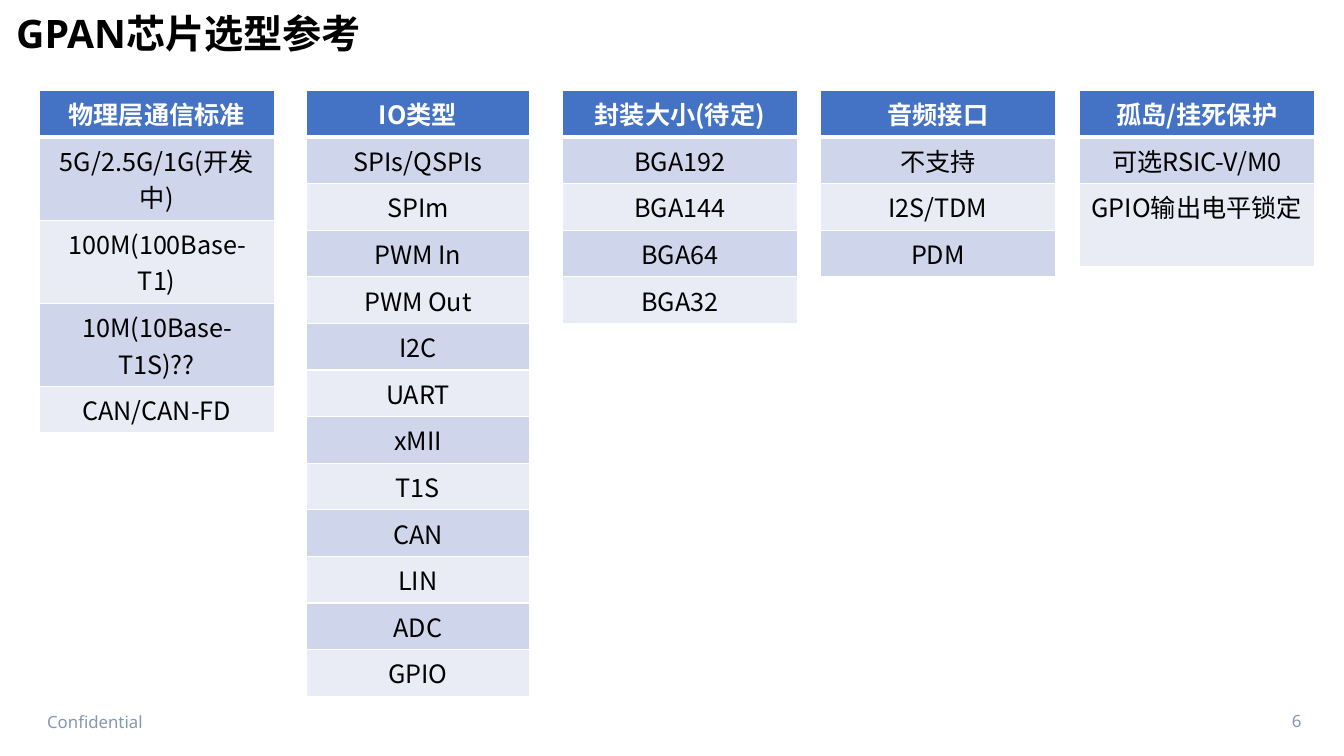
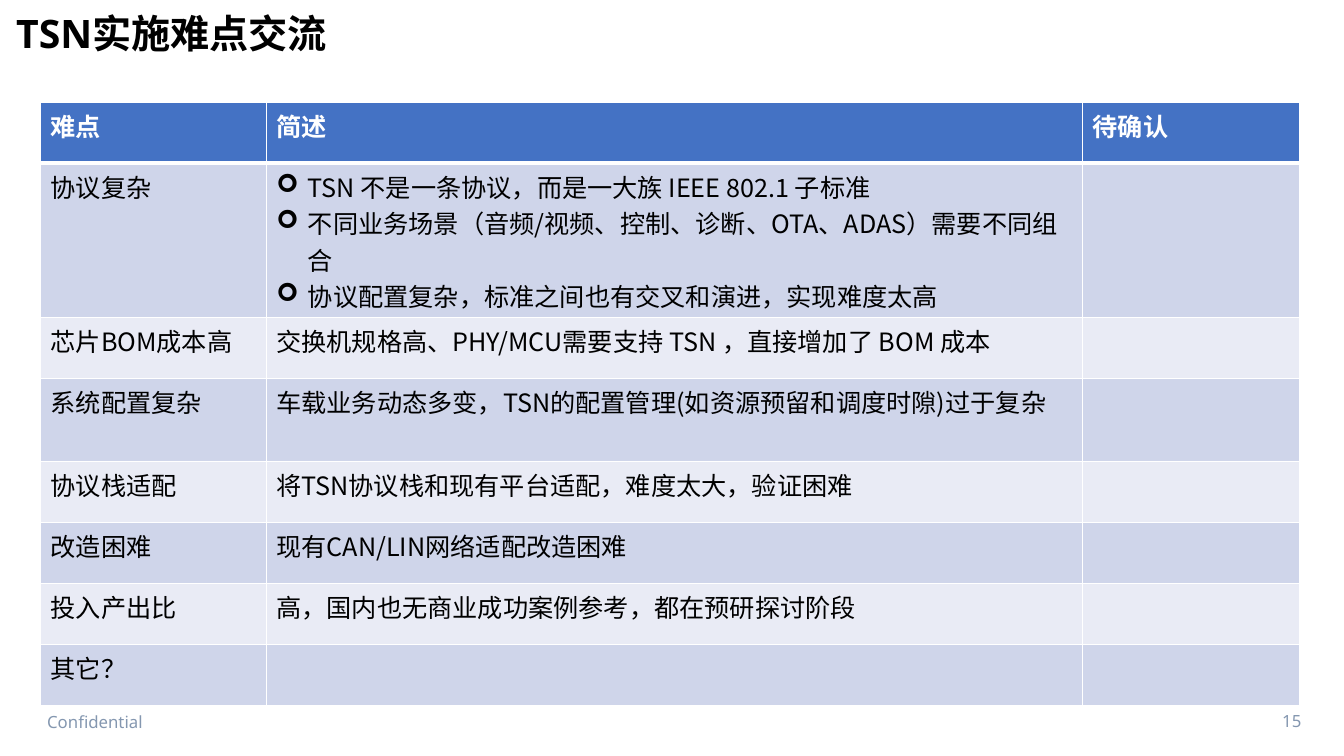
from dataclasses import dataclass

from lxml import etree
from pptx import Presentation
from pptx.dml.color import RGBColor
from pptx.enum.text import MSO_ANCHOR, PP_ALIGN
from pptx.oxml.ns import qn
from pptx.util import Pt

LEFT, MID, RIGHT = PP_ALIGN.LEFT, PP_ALIGN.CENTER, PP_ALIGN.RIGHT
TOP, CENTER = MSO_ANCHOR.TOP, MSO_ANCHOR.MIDDLE


@dataclass(frozen=True)
class Theme:
    latin: str = "Noto Sans"
    asian: str = "Noto Sans CJK SC"
    symbol: str = "Wingdings"
    ink: str = "000000"
    white: str = "FFFFFF"
    gray: str = "8497B0"
    head: str = "4472C4"
    dark: str = "CFD5EA"
    light: str = "E9EBF5"
    title: int = 28
    body: int = 18
    foot: int = 12
    thin: int = 1
    thick: int = 3
    indent: float = 22.5


class Deck:
    def __init__(self, theme):
        self.theme = theme
        self.file = Presentation()
        self.file.slide_width = Pt(960)
        self.file.slide_height = Pt(540)
        self.slide = None

    def page(self, title, number):
        t = self.theme
        self.slide = self.file.slides.add_slide(self.file.slide_layouts[6])
        self.label((26.6, 504.7, 193, 21.8), "Confidential", t.foot, t.gray)
        self.label((895.7, 500.4, 41, 28.8), number, t.foot, t.gray,
                   align=RIGHT, anchor=CENTER)
        para = self.label((4.5, 7.2, 877.7, 44.6), title, t.title, t.ink, bold=True)
        para.line_spacing = 0.9

    def run(self, para, text, font, size, color, bold=False):
        run = para.add_run()
        run.text = text
        run.font.name = font
        run.font.size = Pt(size)
        run.font.bold = bold
        run.font.color.rgb = RGBColor.from_string(color)
        asian = etree.SubElement(run.font._element, qn("a:ea"))
        asian.set("typeface", self.theme.asian)

    def label(self, area, text, size, color, bold=False, align=LEFT, anchor=TOP):
        box = self.slide.shapes.add_textbox(*map(Pt, area))
        frame = box.text_frame
        frame.word_wrap = True
        frame.vertical_anchor = anchor
        para = frame.paragraphs[0]
        para.alignment = align
        self.run(para, text, self.theme.latin, size, color, bold)
        return para

    def bullet(self, para):
        props = para._p.get_or_add_pPr()
        indent = Pt(self.theme.indent)
        props.set("marL", str(indent))
        props.set("indent", str(-indent))
        font = etree.SubElement(props, qn("a:buFont"))
        font.set("typeface", self.theme.symbol)
        font.set("charset", "2")
        etree.SubElement(props, qn("a:buChar")).set("char", "➢")

    def border(self, cell, row):
        t = self.theme
        props = cell._tc.get_or_add_tcPr()
        widths = {"L": t.thin, "R": t.thin,
                  "T": t.thick if row == 1 else t.thin,
                  "B": t.thick if row == 0 else t.thin}
        for side, width in widths.items():
            line = etree.SubElement(props, qn("a:ln" + side), w=str(Pt(width)))
            fill = etree.SubElement(line, qn("a:solidFill"))
            etree.SubElement(fill, qn("a:srgbClr"), val=t.white)

    def cell(self, cell, text, row, align):
        t = self.theme
        self.border(cell, row)
        shade = t.head if row == 0 else t.dark if row % 2 else t.light
        cell.fill.solid()
        cell.fill.fore_color.rgb = RGBColor.from_string(shade)
        lines = text.split("\n")
        for i, line in enumerate(lines):
            frame = cell.text_frame
            para = frame.add_paragraph() if i else frame.paragraphs[0]
            para.alignment = align
            if len(lines) > 1:
                self.bullet(para)
            if line:
                self.run(para, line, t.asian, t.body,
                         t.ink if row else t.white, row == 0)

    def table(self, left, top, widths, heights, rows, align=LEFT):
        area = (left, top, sum(widths), sum(heights))
        frame = self.slide.shapes.add_table(len(rows), len(widths), *map(Pt, area))
        table = frame.table
        for col, width in zip(table.columns, widths):
            col.width = Pt(width)
        for r, (height, texts) in enumerate(zip(heights, rows)):
            table.rows[r].height = Pt(height)
            for c, text in enumerate(texts):
                self.cell(table.cell(r, c), text, r, align)


ONE, TWO, FOUR = 33.3, 59.4, 110.4
TALL = 43.5

CHIPS = [
    (28.1, 167.7, {1, 2, 3},
     ["物理层通信标准", "5G/2.5G/1G(开发中)", "100M(100Base-T1)",
      "10M(10Base-T1S)??", "CAN/CAN-FD"]),
    (218.9, 159.3, set(),
     ["IO类型", "SPIs/QSPIs", "SPIm", "PWM In", "PWM Out", "I2C", "UART",
      "xMII", "T1S", "CAN", "LIN", "ADC", "GPIO"]),
    (401.7, 167.7, set(), ["封装大小(待定)", "BGA192", "BGA144", "BGA64", "BGA32"]),
    (586.1, 167.7, set(), ["音频接口", "不支持", "I2S/TDM", "PDM"]),
    (771, 167.7, {2}, ["孤岛/挂死保护", "可选RSIC-V/M0", "GPIO输出电平锁定"]),
]

ISSUES = [
    ("难点", "简述", "待确认"),
    ("协议复杂",
     "TSN 不是一条协议，而是一大族 IEEE 802.1 子标准\n"
     "不同业务场景（音频/视频、控制、诊断、OTA、ADAS）需要不同组合\n"
     "协议配置复杂，标准之间也有交叉和演进，实现难度太高", ""),
    ("芯片BOM成本高", "交换机规格高、PHY/MCU需要支持 TSN ，直接增加了 BOM 成本", ""),
    ("系统配置复杂", "车载业务动态多变，TSN的配置管理(如资源预留和调度时隙)过于复杂", ""),
    ("协议栈适配", "将TSN协议栈和现有平台适配，难度太大，验证困难", ""),
    ("改造困难", "现有CAN/LIN网络适配改造困难", ""),
    ("投入产出比", "高，国内也无商业成功案例参考，都在预研探讨阶段", ""),
    ("其它？", "", ""),
]


def main():
    deck = Deck(Theme())

    deck.page("GPAN芯片选型参考", "6")
    for left, width, wrapped, items in CHIPS:
        heights = [TWO if i in wrapped else ONE for i in range(len(items))]
        deck.table(left, 64.6, [width], heights, [(item,) for item in items], MID)

    deck.page("TSN实施难点交流", "15")
    deck.table(29, 73, [161.2, 583.1, 154.8],
               [TALL, FOUR, TALL, TWO] + [TALL] * 4, ISSUES)

    deck.file.save("out.pptx")


if __name__ == "__main__":
    main()
